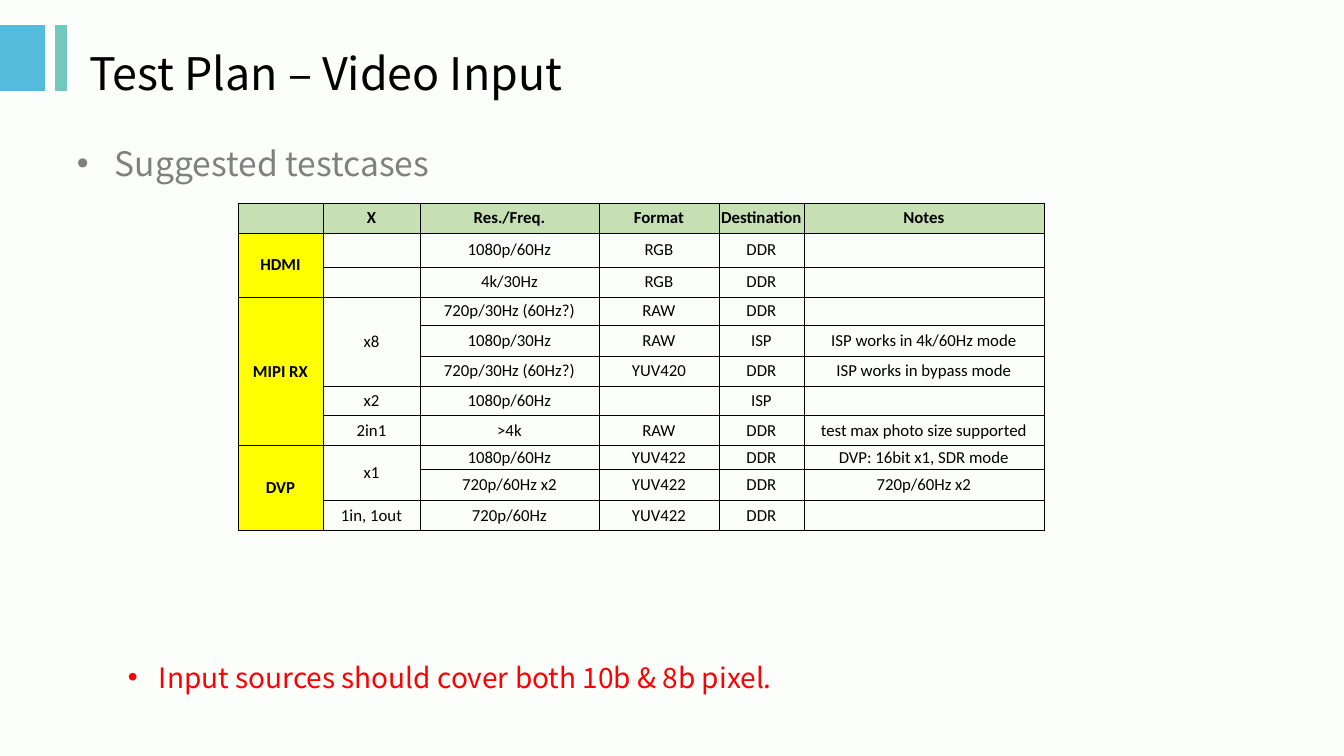
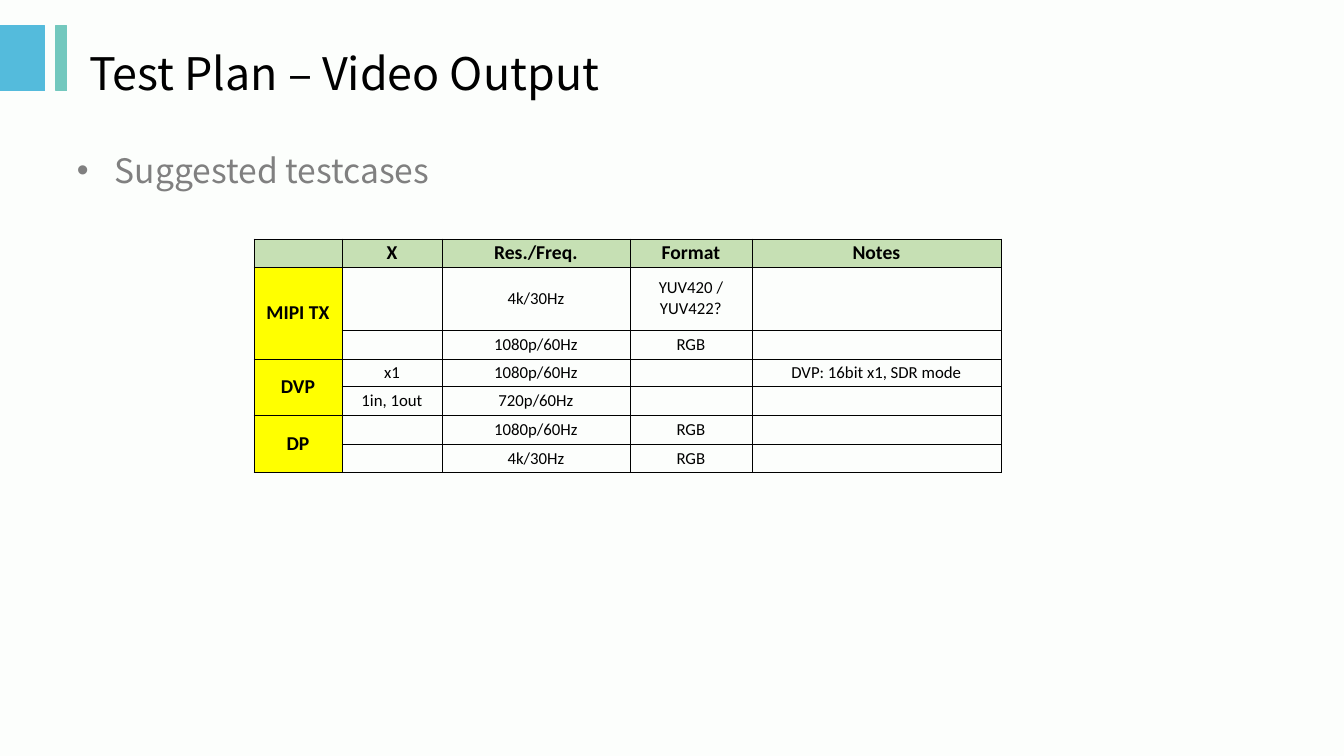
from dataclasses import dataclass
from lxml.etree import SubElement as Sub
from pptx import Presentation
from pptx.dml.color import RGBColor as Rgb
from pptx.enum.shapes import MSO_SHAPE as Shape
from pptx.enum.text import MSO_ANCHOR as Anchor, PP_ALIGN as Align
from pptx.oxml.ns import qn
from pptx.util import Pt

WIDE, HIGH = 1344, 756
SCALE = 12192000 / WIDE


def px(num):
    return round(num * SCALE)


@dataclass(frozen=True)
class Theme:
    page: str = "FCFEFC"
    blue: str = "54BBDC"
    teal: str = "73C8BE"
    ink: str = "000000"
    gray: str = "808080"
    red: str = "FF0000"
    green: str = "C6E0B4"
    gold: str = "FFFF00"
    font: str = "Noto Sans CJK SC"
    grid: str = "Calibri"
    title: int = 32
    lead: int = 24
    note: int = 20
    cell: int = 12
    rule: float = 0.5
    edge: float = 0.75


def write(frame, text, font, size, color, bold=False, align=Align.LEFT,
          anchor=Anchor.TOP, hang=0):
    frame.word_wrap = True
    frame.vertical_anchor = anchor
    para = frame.paragraphs[0]
    para.alignment = align
    if hang:
        props = para._p.get_or_add_pPr()
        props.set("marL", str(px(hang)))
        props.set("indent", str(-px(hang)))
        Sub(props, qn("a:buFont"), typeface="Arial")
        Sub(props, qn("a:buChar"), char="•")
    if not text:
        Sub(para._p, qn("a:endParaRPr"), sz=str(size * 100))
        return
    run = para.add_run()
    run.text = text
    run.font.name = font
    run.font.size = Pt(size)
    run.font.bold = bold
    run.font.color.rgb = Rgb.from_string(color)


def paint(fill, color):
    fill.solid()
    fill.fore_color.rgb = Rgb.from_string(color)


class Deck:
    def __init__(self, theme):
        self.theme = theme
        self.show = Presentation()
        self.show.slide_width, self.show.slide_height = px(WIDE), px(HIGH)
        paint(self.show.slide_master.background.fill, theme.page)
        self.slide = None

    def page(self, text):
        look = self.theme
        self.slide = self.show.slides.add_slide(self.show.slide_layouts[5])
        self.band(0, 45, look.blue)
        self.band(56, 11, look.teal)
        title = self.slide.shapes.title
        title.left, title.top = px(79), px(26)
        title.width, title.height = px(1197), px(93)
        write(title.text_frame, text, look.font, look.title, look.ink,
              anchor=Anchor.MIDDLE)

    def band(self, left, width, color):
        bar = self.slide.shapes.add_shape(
            Shape.RECTANGLE, px(left), px(26), px(width), px(65))
        bar.shadow.inherit = False
        paint(bar.fill, color)
        paint(bar.line.fill, color)
        bar.line.width = Pt(self.theme.edge)

    def bullet(self, text, left, top, size, color, hang):
        box = self.slide.shapes.add_textbox(
            px(left), px(top), px(1277 - left), px(61))
        frame = box.text_frame
        frame.margin_top = frame.margin_bottom = 0
        write(frame, text, self.theme.font, size, color, hang=hang)

    def border(self, cell):
        props = cell._tc.get_or_add_tcPr()
        for side in "LRTB":
            line = Sub(props, qn(f"a:ln{side}"), w=str(Pt(self.theme.rule)))
            fill = Sub(line, qn("a:solidFill"))
            Sub(fill, qn("a:srgbClr"), val=self.theme.ink)

    def table(self, left, top, cols, highs, rows, head):
        look = self.theme
        grid = self.slide.shapes.add_table(
            len(rows), len(cols), px(left), px(top),
            px(sum(cols)), px(sum(highs))).table
        grid.first_row = grid.horz_banding = False
        for col, width in zip(grid.columns, cols):
            col.width = px(width)
        for row, high in zip(grid.rows, highs):
            row.height = px(high)
        for y, row in enumerate(rows):
            for x, text in enumerate(row):
                cell = grid.cell(y, x)
                cell.margin_left = cell.margin_right = 0
                cell.margin_top = cell.margin_bottom = 0
                self.border(cell)
                bold = y == 0 or x == 0
                if bold:
                    paint(cell.fill, look.gold if y else look.green)
                else:
                    cell.fill.background()
                write(cell.text_frame, text, look.grid,
                      head if bold and text else look.cell, look.ink,
                      bold=bold, align=Align.CENTER)
                cell.vertical_anchor = Anchor.MIDDLE
        self.merge(grid, rows)

    def merge(self, grid, rows):
        for x in range(len(rows[0])):
            start = 0
            for y in range(1, len(rows) + 1):
                if y < len(rows) and rows[y][x] is None:
                    continue
                if y - start > 1:
                    grid.cell(start, x).merge(grid.cell(y - 1, x))
                start = y


INPUT = [
    ("", "X", "Res./Freq.", "Format", "Destination", "Notes"),
    ("HDMI", "", "1080p/60Hz", "RGB", "DDR", ""),
    (None, "", "4k/30Hz", "RGB", "DDR", ""),
    ("MIPI RX", "x8", "720p/30Hz (60Hz?)", "RAW", "DDR", ""),
    (None, None, "1080p/30Hz", "RAW", "ISP", "ISP works in 4k/60Hz mode"),
    (None, None, "720p/30Hz (60Hz?)", "YUV420", "DDR",
     "ISP works in bypass mode"),
    (None, "x2", "1080p/60Hz", "", "ISP", ""),
    (None, "2in1", ">4k", "RAW", "DDR", "test max photo size supported"),
    ("DVP", "x1", "1080p/60Hz", "YUV422", "DDR", "DVP: 16bit x1, SDR mode"),
    (None, None, "720p/60Hz x2", "YUV422", "DDR", "720p/60Hz x2"),
    (None, "1in, 1out", "720p/60Hz", "YUV422", "DDR", ""),
]

OUTPUT = [
    ("", "X", "Res./Freq.", "Format", "Notes"),
    ("MIPI TX", "", "4k/30Hz", "YUV420 / YUV422?", ""),
    (None, "", "1080p/60Hz", "RGB", ""),
    ("DVP", "x1", "1080p/60Hz", "", "DVP: 16bit x1, SDR mode"),
    (None, "1in, 1out", "720p/60Hz", "", ""),
    ("DP", "", "1080p/60Hz", "RGB", ""),
    (None, "", "4k/30Hz", "RGB", ""),
]


def main():
    look = Theme()
    deck = Deck(look)
    lead = "Suggested testcases"

    deck.page("Test Plan – Video Input")
    deck.bullet(lead, 67, 143, look.lead, look.gray, 38)
    deck.bullet("Input sources should cover both 10b & 8b pixel.",
                118, 660, look.note, look.red, 31)
    deck.table(238, 203, [85, 97, 179, 120, 85, 240],
               [30, 34, 30, 28, 31, 30, 30, 30, 24, 31, 30], INPUT, 12)

    deck.page("Test Plan – Video Output")
    deck.bullet(lead, 67, 150, look.lead, look.gray, 38)
    deck.table(254, 239, [88, 100, 188, 122, 249],
               [28, 63, 29, 27, 29, 29, 29], OUTPUT, 14)

    deck.show.save("out.pptx")


if __name__ == "__main__":
    main()
